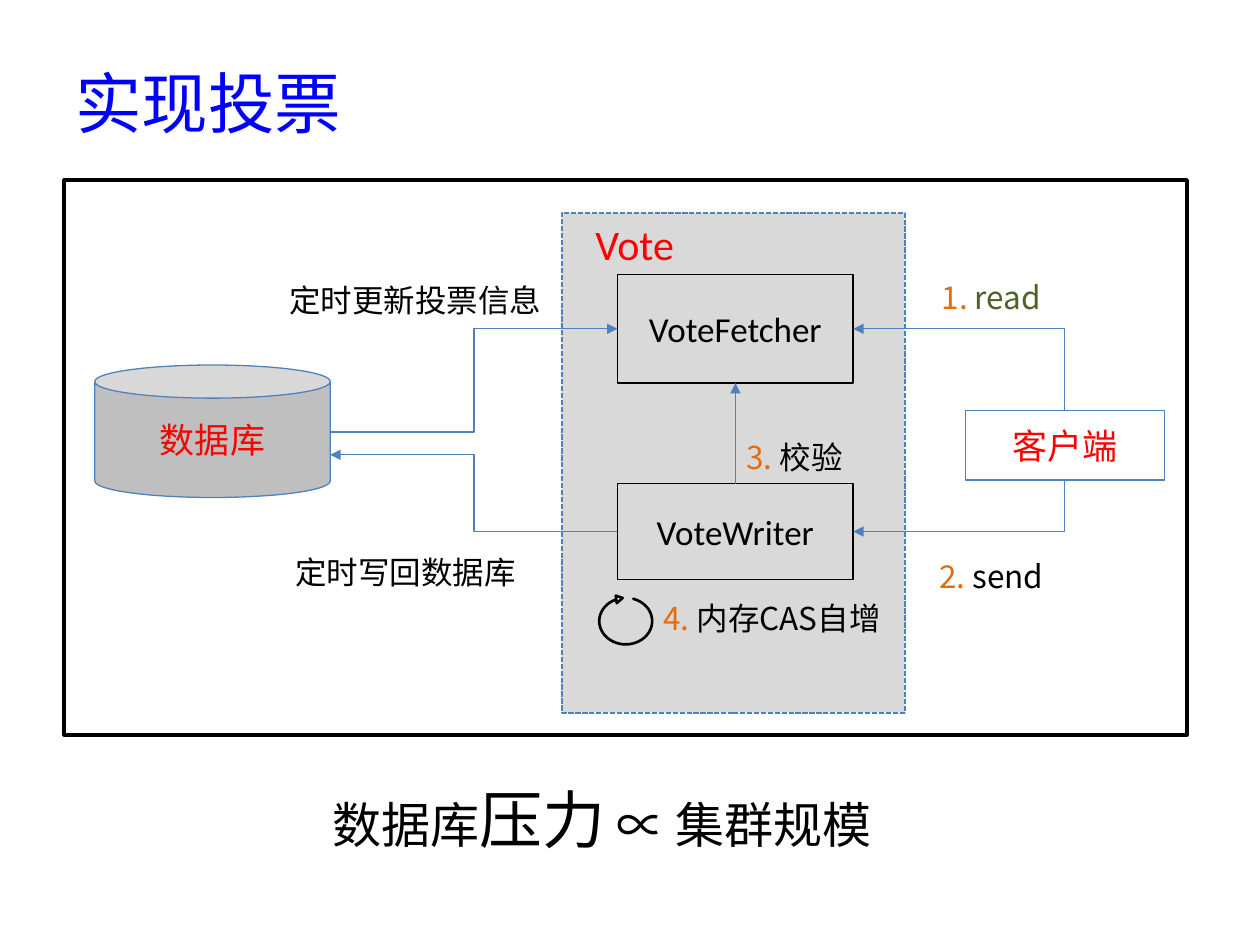
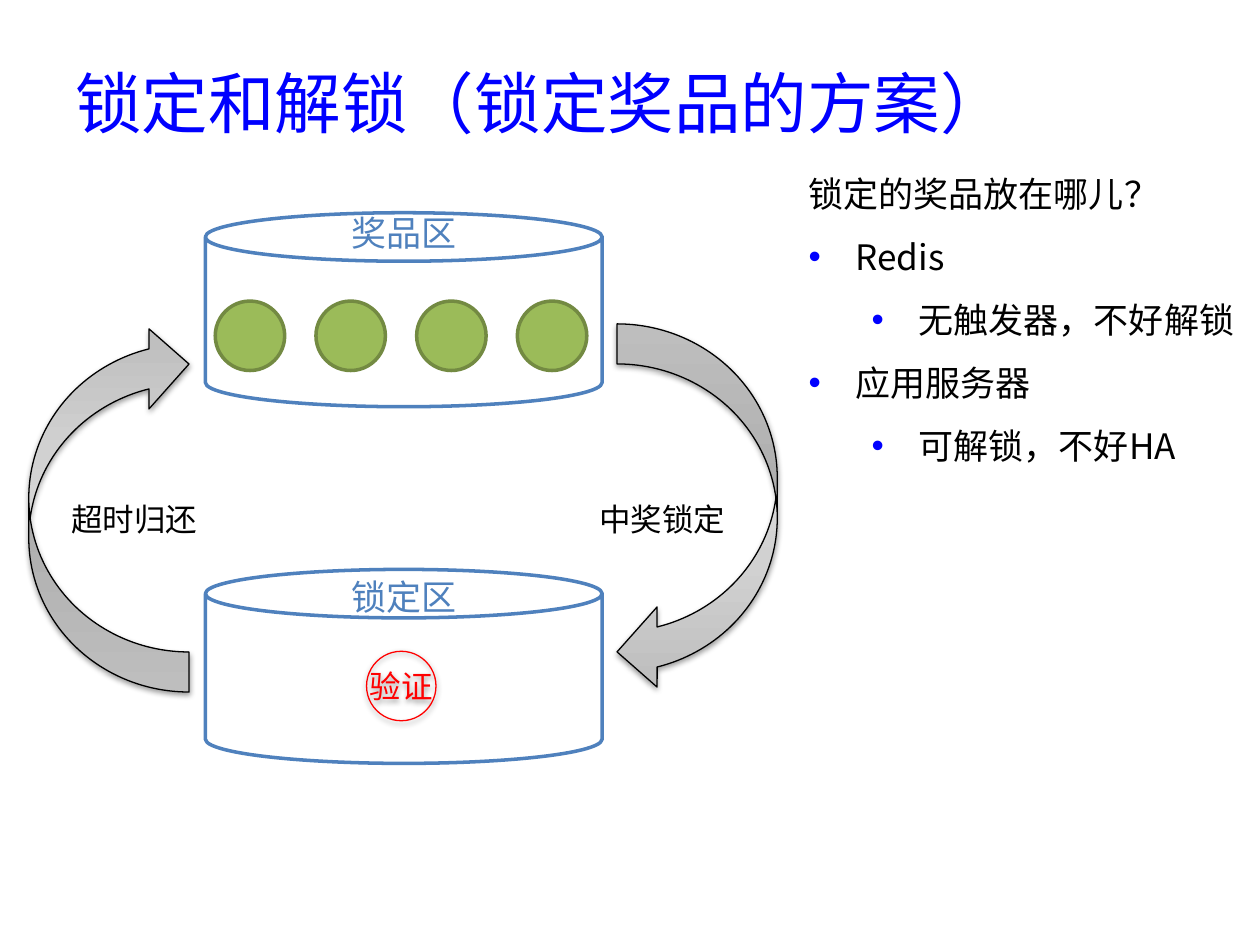
from copy import deepcopy
from dataclasses import dataclass

from lxml.etree import SubElement
from pptx import Presentation
from pptx.dml.color import RGBColor
from pptx.enum.dml import MSO_LINE
from pptx.enum.shapes import MSO_CONNECTOR as LINK, MSO_SHAPE as SHAPE
from pptx.enum.text import MSO_ANCHOR as ANCHOR, MSO_AUTO_SIZE as AUTO, PP_ALIGN as ALIGN
from pptx.oxml.ns import qn
from pptx.util import Cm, Pt

CJK, LATIN = "Noto Sans CJK SC", "Calibri"
BLACK, WHITE, RED, BLUE = "000000", "FFFFFF", "FF0000", "0000FF"
STEEL, ORANGE, OLIVE = "4F81BD", "E46C0A", "4F6228"
PANEL_GREY, STORE_GREY = "D9D9D9", "BFBFBF"
PRIZE_GREEN, PRIZE_EDGE = "9BBB59", "738A42"
ARROW_STOPS = [(0, "BDBDBD"), (0.35, "D1D1D1"), (1, "EEEEEE")]
TITLE_SIZE = 38


@dataclass
class Box:
    left: float
    top: float
    width: float
    height: float

    def inside(self, left, top, width, height):
        return Box(self.left + left, self.top + top, width, height)

    @property
    def right(self):
        return self.left + self.width

    @property
    def bottom(self):
        return self.top + self.height

    @property
    def center(self):
        return self.left + self.width / 2

    @property
    def middle(self):
        return self.top + self.height / 2

    def lengths(self):
        return [Cm(v) for v in (self.left, self.top, self.width, self.height)]


TITLE_BOX = Box(1.27, 1.19, 22.86, 1.73)


def color(hex_string):
    return RGBColor.from_string(hex_string)


def write(paragraph, pieces, size, font=CJK):
    for words, ink, *own_size in pieces:
        run = paragraph.add_run()
        run.text = words
        run.font.size = Pt(own_size[0] if own_size else size)
        run.font.name = font
        run.font.color.rgb = color(ink)
        SubElement(run.font._element, qn("a:ea")).set("typeface", CJK)


def add_text(slide, box, pieces, size, font=CJK, align=ALIGN.LEFT):
    text = slide.shapes.add_textbox(*box.lengths())
    frame = text.text_frame
    frame.word_wrap = True
    frame.auto_size = AUTO.SHAPE_TO_FIT_TEXT
    frame.paragraphs[0].alignment = align
    write(frame.paragraphs[0], pieces, size, font)
    return text


def add_part(slide, kind, box, fill=None, edge=STEEL, weight=0.75):
    part = slide.shapes.add_shape(kind, *box.lengths())
    part.shadow.inherit = False
    if fill:
        part.fill.solid()
        part.fill.fore_color.rgb = color(fill)
    else:
        part.fill.background()
    part.line.color.rgb = color(edge)
    part.line.width = Pt(weight)
    return part


def caption(part, words, ink, size=20, font=CJK, inset=0, wrap=True):
    frame = part.text_frame
    frame.word_wrap = wrap
    frame.vertical_anchor = ANCHOR.MIDDLE
    frame.margin_left = frame.margin_right = Cm(inset)
    frame.margin_top = frame.margin_bottom = Cm(inset / 2)
    frame.paragraphs[0].alignment = ALIGN.CENTER
    write(frame.paragraphs[0], [(words, ink)], size, font)


def cast_shadow(part):
    effects = part._element.spPr.find(qn("a:effectLst"))
    shadow = SubElement(effects, qn("a:outerShdw"), blurRad="40000", dist="20000",
                        dir="5400000", rotWithShape="0")
    ink = SubElement(shadow, qn("a:srgbClr"), val=BLACK)
    SubElement(ink, qn("a:alpha"), val="38000")


def add_arrow(slide, kind, start, end, weight=0.75):
    arrow = slide.shapes.add_connector(kind, *[Cm(v) for v in (*start, *end)])
    arrow.line.color.rgb = color(STEEL)
    arrow.line.width = Pt(weight)
    line = arrow._element.spPr.find(qn("a:ln"))
    SubElement(line, qn("a:tailEnd"), type="triangle")
    SubElement(arrow._element.spPr, qn("a:effectLst"))
    return arrow


def add_corner_arrow(slide, start, end):
    center, middle = (start[0] + end[0]) / 2, (start[1] + end[1]) / 2
    rise, reach = (end[1] - start[1]) / 2, (start[0] - end[0]) / 2
    down = rise > 0
    drop = reach if down else -reach
    arrow = add_arrow(slide, LINK.ELBOW, (center - abs(rise), middle - drop),
                      (center + abs(rise), middle + drop))
    properties = arrow._element.spPr
    properties.find(qn("a:xfrm")).set("rot", str((90 if down else 270) * 60000))
    properties.find(qn("a:prstGeom")).set("prst", "bentConnector2")


def add_title(slide, words):
    title = slide.shapes.add_textbox(*TITLE_BOX.lengths())
    title.text_frame.word_wrap = True
    title.text_frame.vertical_anchor = ANCHOR.MIDDLE
    write(title.text_frame.paragraphs[0], [(words, BLUE)], TITLE_SIZE)


def draw_vote_flow(slide, box):
    add_part(slide, SHAPE.RECTANGLE, box, WHITE, BLACK, 2.25)
    vote = add_part(slide, SHAPE.RECTANGLE, box.inside(10.03, 0.66, 6.91, 10.08), PANEL_GREY, weight=1)
    vote.line.dash_style = MSO_LINE.SQUARE_DOT

    fetcher = box.inside(11.15, 1.91, 4.75, 2.18)
    writer = box.inside(11.15, 6.12, 4.75, 1.93)
    for place, words in ((fetcher, "VoteFetcher"), (writer, "VoteWriter")):
        caption(add_part(slide, SHAPE.RECTANGLE, place, edge=BLACK), words, BLACK, font=LATIN)

    cas_loop = add_part(slide, SHAPE.CIRCULAR_ARROW, box.inside(10.77, 8.28, 1.09, 1.22), WHITE, BLACK, 1.5)
    cas_loop.rotation = 270
    for index, value in enumerate((0, 9.57, 201.91, 11.16, 0.07)):
        cas_loop.adjustments[index] = value

    client = box.inside(18.16, 4.65, 4.01, 1.4)
    caption(add_part(slide, SHAPE.RECTANGLE, client), "客户端", RED)
    database = box.inside(0.61, 3.73, 4.75, 2.67)
    caption(add_part(slide, SHAPE.CAN, database, STORE_GREY), "数据库", RED, font=LATIN, inset=0.25)

    add_arrow(slide, LINK.STRAIGHT, (writer.center, writer.top), (fetcher.center, fetcher.bottom), 1)
    add_arrow(slide, LINK.ELBOW, (database.right, box.top + 5.08), (fetcher.left, fetcher.middle))
    add_arrow(slide, LINK.ELBOW, (writer.left, writer.middle), (database.right, box.top + 5.54))
    add_corner_arrow(slide, (client.center, client.top), (fetcher.right, fetcher.middle))
    add_corner_arrow(slide, (client.center, client.bottom), (writer.right, writer.middle))

    steps = [("read", OLIVE, 15.93, 1.85), ("send", BLACK, 15.93, 7.47),
             ("校验", BLACK, 11.96, 5.08), ("内存CAS自增", BLACK, 11.51, 8.33)]
    for number, (words, ink, left, top) in enumerate(steps, 1):
        add_text(slide, box.inside(left, top, 5.51, 1.02),
                 [(f"{number}. ", ORANGE), (words, ink)], 18, align=ALIGN.CENTER)
    for words, left, top in (("定时更新投票信息", 4.11, 1.91), ("定时写回数据库", 3.91, 7.39)):
        add_text(slide, box.inside(left, top, 5.92, 1.02), [(words, BLACK)], 18, align=ALIGN.CENTER)
    add_text(slide, box.inside(8.74, 0.66, 5.51, 1.27), [("Vote", RED)], 24, LATIN, ALIGN.CENTER)


def draw_conclusion(slide, box):
    add_text(slide, box, [("数据库", BLACK), ("压力", BLACK, 36), (" ∝ 集群规模", BLACK)], 28)


def add_cycle_arrow(slide, box, rotation):
    arrow = add_part(slide, SHAPE.CURVED_LEFT_ARROW, box, edge=BLACK)
    arrow.rotation = rotation
    arrow.fill.gradient()
    arrow.fill.gradient_angle = 90
    stop_list = arrow._element.spPr.find(".//" + qn("a:gsLst"))
    stop_list.append(deepcopy(stop_list[0]))
    for stop, (position, ink) in zip(arrow.fill.gradient_stops, ARROW_STOPS):
        stop.position = position
        stop.color.rgb = color(ink)
    cast_shadow(arrow)


def draw_lock_cycle(slide, box):
    for index in range(4):
        add_part(slide, SHAPE.OVAL, box.inside(3.76 + 2.03 * index, 1.93, 1.4, 1.4),
                 PRIZE_GREEN, PRIZE_EDGE, 2)
    for words, can_top, label_top in (("奖品区", 0.15, 0), ("锁定区", 7.34, 7.34)):
        add_part(slide, SHAPE.CAN, box.inside(3.56, can_top, 8, 3.91), weight=2)
        add_text(slide, box.inside(6.25, label_top, 3.25, 1.12), [(words, STEEL)], 20)

    check = add_part(slide, SHAPE.OVAL, box.inside(6.81, 8.99, 1.4, 1.4), edge=RED)
    caption(check, "验证", RED, 18, inset=0.25, wrap=False)
    cast_shadow(check)

    for arrow_left, rotation, words, label_left in ((11.86, 0, "中奖锁定", 11.25),
                                                    (0, 180, "超时归还", 0.61)):
        add_cycle_arrow(slide, box.inside(arrow_left, 2.39, 3.23, 7.42), rotation)
        add_text(slide, box.inside(label_left, 5.82, 3.5, 1.02), [(words, BLACK)], 18)


def draw_storage_options(slide, box):
    question = add_text(slide, box, [("锁定的奖品放在哪儿？", BLACK)], 20)
    frame = question.text_frame
    frame.paragraphs[0].line_spacing = 1.5
    options = [("Redis", 0), ("无触发器，不好解锁", 1), ("应用服务器", 0), ("可解锁，不好HA", 1)]
    for words, level in options:
        option = frame.add_paragraph()
        option.level = level
        option.line_spacing = 1.5
        properties = option._p.get_or_add_pPr()
        properties.set("marL", str(Cm(0.95 + 1.27 * level)))
        properties.set("indent", str(-Cm(0.95)))
        bullet_ink = SubElement(properties, qn("a:buClr"))
        SubElement(bullet_ink, qn("a:srgbClr"), val=BLUE)
        SubElement(properties, qn("a:buFont"), typeface="Arial")
        SubElement(properties, qn("a:buChar"), char="•")
        write(option, [(words, BLACK)], 20)


def main():
    deck = Presentation()
    deck.slide_width, deck.slide_height = Cm(25.4), Cm(19.05)
    blank = deck.slide_layouts[6]

    voting = deck.slides.add_slide(blank)
    add_title(voting, "实现投票")
    draw_vote_flow(voting, Box(1.3, 3.63, 22.63, 11.18))
    draw_conclusion(voting, Box(6.45, 15.6, 12.47, 1.8))

    locking = deck.slides.add_slide(blank)
    add_title(locking, "锁定和解锁（锁定奖品的方案）")
    draw_lock_cycle(locking, Box(0.58, 4.14, 15.09, 11.25))
    draw_storage_options(locking, Box(16.05, 2.92, 10.82, 6.6))

    deck.save("out.pptx")


if __name__ == "__main__":
    main()
